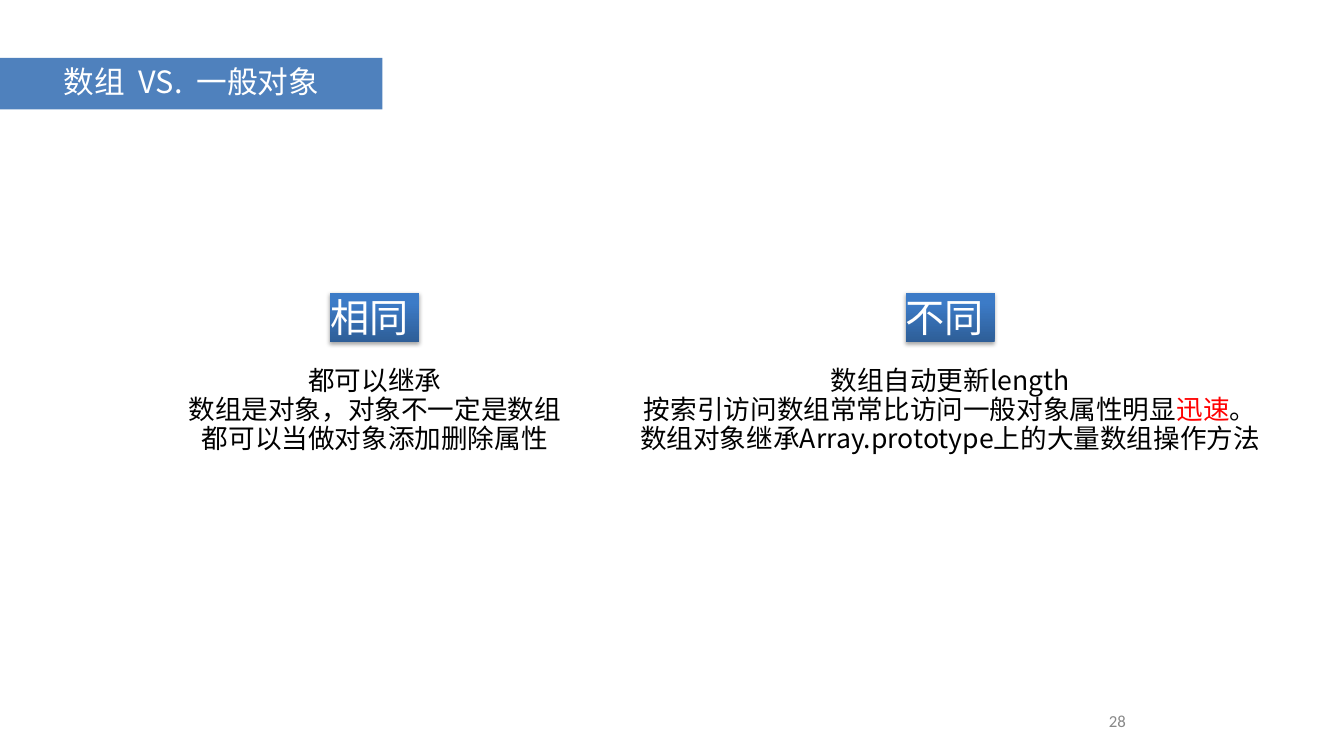
import lxml.etree
import pptx
import pptx.dml.color
import pptx.enum.shapes
import pptx.enum.text
import pptx.oxml
import pptx.oxml.ns
import pptx.util

WIDTH, HEIGHT = 26.67, 15
COLORS = {"band": "4F81BD", "light": "FFFFFF", "body": "000000", "accent": "FF0000",
          "number": "888888", "dark_blue": "2E5E97", "mid_blue": "3C7BC7", "top_blue": "3A7CCA"}
CJK, LATIN = "Noto Sans CJK SC", "Calibri"
ALIGN = pptx.enum.text.PP_ALIGN
ANCHOR = pptx.enum.text.MSO_ANCHOR
COLUMNS = [
    {"label": "相同", "label_left": 6.55, "box": (3.64, 7.2, 7.6, 2.14),
     "lines": [[("都可以继承", None)],
               [("数组是对象，对象不一定是数组", None)],
               [("都可以当做对象添加删除属性", None)]]},
    {"label": "不同", "label_left": 17.97, "box": (12.1, 7.2, 13.51, 1.93),
     "lines": [[("数组自动更新length", None)],
               [("按索引访问数组常常比访问一般对象属性明显", None), ("迅速", "accent"), ("。", None)],
               [("数组对象继承Array.prototype上的大量数组操作方法", None)]]},
]


def rgb(name):
    """Return the named colour."""
    return pptx.dml.color.RGBColor.from_string(COLORS[name])


def add_box(slide, box, filled=False):
    """Add a rectangle or a text box at the given inches."""
    lengths = [pptx.util.Inches(length) for length in box]
    if not filled:
        return slide.shapes.add_textbox(*lengths)
    shape = slide.shapes.add_shape(pptx.enum.shapes.MSO_SHAPE.RECTANGLE, *lengths)
    shape.shadow.inherit = False
    shape.line.fill.background()
    return shape


def write(shape, lines, size, font, color, align, anchor=ANCHOR.TOP, spacing=None, inset=0, wrap=True):
    """Fill a shape with paragraphs made of (text, colour) runs."""
    frame = shape.text_frame
    frame.word_wrap = wrap
    frame.vertical_anchor = anchor
    frame.margin_left = frame.margin_right = pptx.util.Inches(inset)
    frame.margin_top = frame.margin_bottom = pptx.util.Inches(inset)
    for index, runs in enumerate(lines):
        paragraph = frame.add_paragraph() if index else frame.paragraphs[0]
        paragraph.alignment = align
        paragraph.line_spacing = spacing
        paragraph.font.size = pptx.util.Pt(size)
        paragraph.font.name = font
        paragraph.font.color.rgb = rgb(color)
        properties = paragraph._p.pPr.find(pptx.oxml.ns.qn("a:defRPr"))
        lxml.etree.SubElement(properties, pptx.oxml.ns.qn("a:ea"), typeface=font)
        for text, run_color in runs:
            run = paragraph.add_run()
            run.text = text
            if run_color:
                run.font.color.rgb = rgb(run_color)


def style_label(shape):
    """Give a label its vertical gradient and soft shadow."""
    namespace = pptx.oxml.ns.nsdecls("a")
    stops = "".join(
        f'<a:gs pos="{share * 1000}"><a:srgbClr val="{COLORS[name]}"/></a:gs>'
        for share, name in [(0, "dark_blue"), (80, "mid_blue"), (100, "top_blue")])
    gradient = pptx.oxml.parse_xml(
        f'<a:gradFill {namespace} rotWithShape="1"><a:gsLst>{stops}</a:gsLst>'
        '<a:lin ang="16200000" scaled="0"/></a:gradFill>')
    shadow = pptx.oxml.parse_xml(
        f'<a:outerShdw {namespace} blurRad="{pptx.util.Pt(6)}" dist="{pptx.util.Pt(3)}" '
        f'dir="5400000" rotWithShape="0"><a:srgbClr val="{COLORS["body"]}">'
        '<a:alpha val="35000"/></a:srgbClr></a:outerShdw>')
    properties = shape._element.spPr
    properties.find(pptx.oxml.ns.qn("a:prstGeom")).addnext(gradient)
    properties.find(pptx.oxml.ns.qn("a:effectLst")).append(shadow)


def add_title(slide, box):
    """Add the title band."""
    band = add_box(slide, box, filled=True)
    band.fill.solid()
    band.fill.fore_color.rgb = rgb("band")
    write(band, [[("数组  VS.  一般对象", None)]], 43.8, CJK, "light", ALIGN.CENTER, ANCHOR.MIDDLE, 0.9)


def add_column(slide, box, label, label_left, lines):
    """Add one side of the comparison, with its label above the text."""
    write(add_box(slide, box), lines, 38, CJK, "body", ALIGN.CENTER, spacing=0.9, inset=0.1)
    heading = add_box(slide, (label_left, box[1] - 1.39, 1.77, 0.98), filled=True)
    style_label(heading)
    write(heading, [[(label, None)]], 56, LATIN, "light", ALIGN.LEFT)


def add_page_number(slide, box):
    """Add the page number."""
    write(add_box(slide, box), [[("28", None)]], 24, LATIN, "number", ALIGN.RIGHT, ANCHOR.MIDDLE)


def main():
    """Build and save the slide."""
    presentation = pptx.Presentation()
    presentation.slide_width = pptx.util.Inches(WIDTH)
    presentation.slide_height = pptx.util.Inches(HEIGHT)
    slide = presentation.slides.add_slide(presentation.slide_layouts[6])
    add_page_number(slide, (17.67, 14, 4.67, 0.6))
    add_title(slide, (0, 1.15, 7.59, 1.02))
    for column in COLUMNS:
        add_column(slide, **column)
    presentation.save("out.pptx")


if __name__ == "__main__":
    main()
